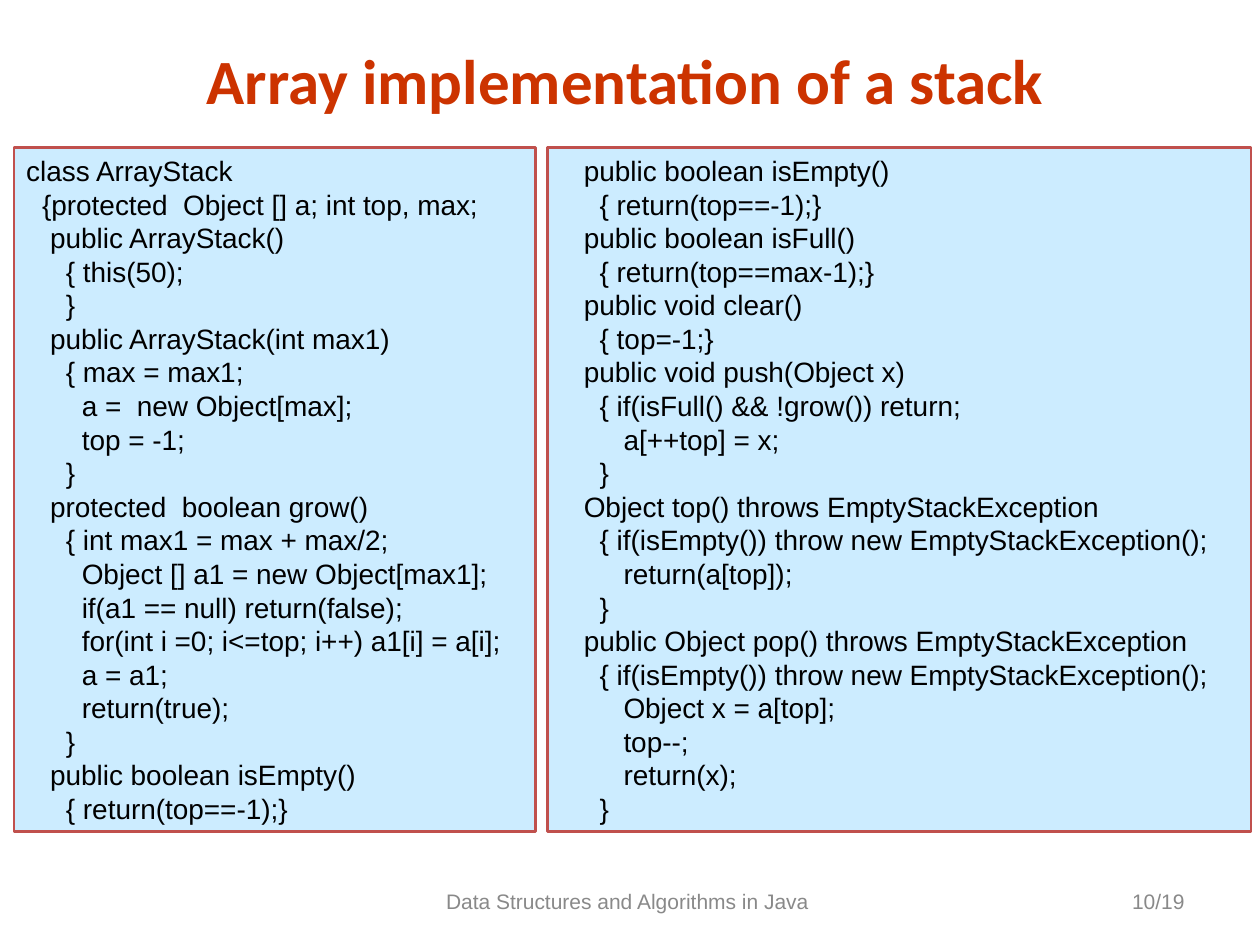
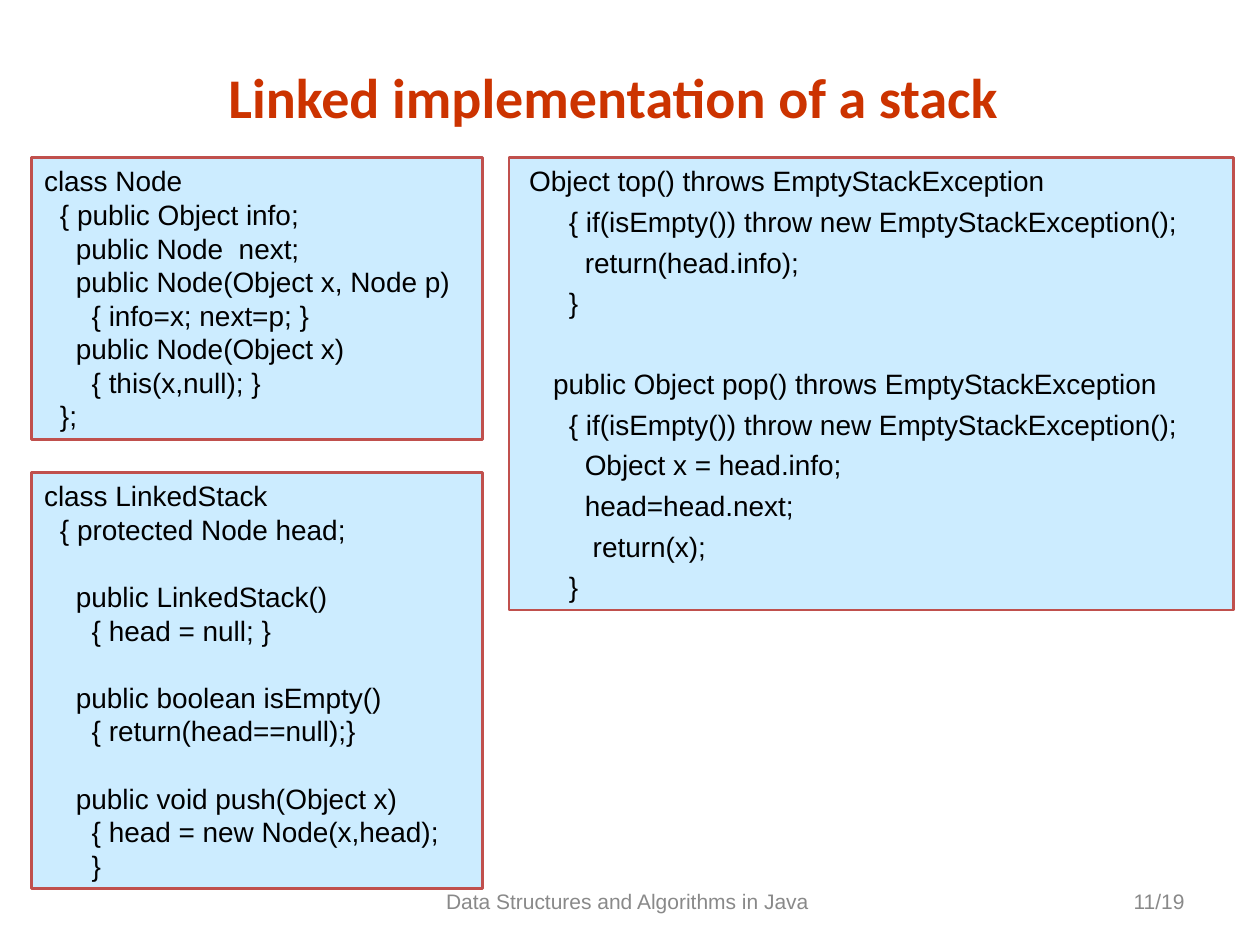
from dataclasses import dataclass

from pptx import Presentation
from pptx import util as u
from pptx.dml.color import RGBColor
from pptx.enum import shapes, text


@dataclass(frozen=True)
class Theme:
    title_color: RGBColor = RGBColor.from_string("CC3300")
    code_color: RGBColor = RGBColor.from_string("000000")
    panel_fill: RGBColor = RGBColor.from_string("CCECFF")
    panel_line: RGBColor = RGBColor.from_string("C0504D")
    footer_color: RGBColor = RGBColor.from_string("898989")
    title_font: str = "Calibri"
    body_font: str = "Arial"
    code_size: int = 16
    code_pitch: float = 19.2  # points from one code line to the next
    code_step: float = 0.16  # centimetres per column of code indent
    footer_size: int = 12
    panel_line_width: float = 1.5


@dataclass(frozen=True)
class Box:
    """A region of the slide, in centimetres."""
    left: float
    top: float
    width: float
    height: float

    def emu(self):
        return [u.Cm(side) for side in (self.left, self.top, self.width, self.height)]


THEME = Theme()
FOOTER_TEXT = "Data Structures and Algorithms in Java "
SLIDE_TOTAL = 19
FOOTER_BOX = Box(8.05, 17.65, 9.32, 1.02)
NUMBER_BOX = Box(18.21, 17.65, 5.92, 1.02)

ARRAY_SETUP = """\
class ArrayStack
  {protected  Object [] a; int top, max;
   public ArrayStack()
     { this(50);
     }
   public ArrayStack(int max1)
     { max = max1;
       a =  new Object[max];
       top = -1;
     }
   protected  boolean grow()
     { int max1 = max + max/2;
       Object [] a1 = new Object[max1];
       if(a1 == null) return(false);
       for(int i =0; i<=top; i++) a1[i] = a[i];
       a = a1;
       return(true);
     }
   public boolean isEmpty()
     { return(top==-1);}"""

ARRAY_METHODS = """\
   public boolean isEmpty()
     { return(top==-1);}
   public boolean isFull()
     { return(top==max-1);}
   public void clear()
     { top=-1;}
   public void push(Object x)
     { if(isFull() && !grow()) return;
        a[++top] = x;
     }
   Object top() throws EmptyStackException
     { if(isEmpty()) throw new EmptyStackException();
        return(a[top]);
     }
   public Object pop() throws EmptyStackException
     { if(isEmpty()) throw new EmptyStackException();
        Object x = a[top];
        top--;
        return(x);
     }"""

NODE_CLASS = """\
class Node
  { public Object info;
    public Node  next;
    public Node(Object x, Node p)
      { info=x; next=p; }
    public Node(Object x)
      { this(x,null); }
  };"""

LINKED_SETUP = """\
class LinkedStack
  { protected Node head;

    public LinkedStack()
      { head = null; }

    public boolean isEmpty()
      { return(head==null);}

    public void push(Object x)
      { head = new Node(x,head);
      }"""

LINKED_METHODS = """\
 Object top() throws EmptyStackException
      { if(isEmpty()) throw new EmptyStackException();
        return(head.info);
      }

    public Object pop() throws EmptyStackException
      { if(isEmpty()) throw new EmptyStackException();
        Object x = head.info;
        head=head.next;
         return(x);
      }"""


def style(para, font, size, color, bold=False):
    for span in para.runs:
        span.font.name = font
        span.font.size = u.Pt(size)
        span.font.bold = bold
        span.font.color.rgb = color


def add_label(page, box, words, align, font, size, color, bold=False):
    """Add one line of text, centred vertically in the box."""
    frame = page.shapes.add_textbox(*box.emu()).text_frame
    frame.word_wrap = True
    frame.vertical_anchor = text.MSO_ANCHOR.MIDDLE
    para = frame.paragraphs[0]
    para.text = words
    para.alignment = align
    style(para, font, size, color, bold)


def add_title(page, box, words, size):
    add_label(page, box, words, text.PP_ALIGN.CENTER,
              THEME.title_font, size, THEME.title_color, bold=True)


def add_footer(page, number):
    for box, words, align in (
        (FOOTER_BOX, FOOTER_TEXT, text.PP_ALIGN.CENTER),
        (NUMBER_BOX, f"{number}/{SLIDE_TOTAL}", text.PP_ALIGN.RIGHT),
    ):
        add_label(page, box, words, align,
                  THEME.body_font, THEME.footer_size, THEME.footer_color)


def add_code_panel(page, box, code, spacing=0):
    """Add a framed listing; leading columns become indents, empty lines become gaps."""
    panel = page.shapes.add_shape(shapes.MSO_SHAPE.RECTANGLE, *box.emu())
    panel.shadow.inherit = False
    panel.fill.solid()
    panel.fill.fore_color.rgb = THEME.panel_fill
    panel.line.color.rgb = THEME.panel_line
    panel.line.width = u.Pt(THEME.panel_line_width)
    frame = panel.text_frame
    frame.word_wrap = True
    frame.vertical_anchor = text.MSO_ANCHOR.TOP

    lines = code.splitlines()
    frame.text = "\n".join(line.strip() for line in lines if line)
    paras = iter(frame.paragraphs)
    before = spacing
    for line in lines:
        if not line:
            before += THEME.code_pitch + spacing
            continue
        para = next(paras)
        columns = len(line) - len(line.lstrip())
        props = para._p.get_or_add_pPr()
        props.set("marL", str(u.Cm(columns * THEME.code_step)))
        props.set("indent", "0")
        para.alignment = text.PP_ALIGN.LEFT
        para.line_spacing = u.Pt(THEME.code_pitch)
        para.space_before = u.Pt(before)
        style(para, THEME.body_font, THEME.code_size, THEME.code_color)
        before = spacing


def add_page(deck, number, title, title_box, title_size):
    page = deck.slides.add_slide(deck.slide_layouts[6])
    add_footer(page, number)
    add_title(page, title_box, title, title_size)
    return page


def add_array_page(deck):
    page = add_page(deck, 10, "Array implementation of a stack",
                    Box(0.64, 0.71, 23.93, 1.78), 36)
    top, height = 2.97, 13.79
    add_code_panel(page, Box(0.28, top, 10.52, height), ARRAY_SETUP)
    add_code_panel(page, Box(11.04, top, 14.18, height), ARRAY_METHODS)


def add_linked_page(deck):
    page = add_page(deck, 11, "Linked implementation of a stack",
                    Box(0.84, 1.14, 23.06, 1.6), 32)
    left, top, width = 0.64, 3.18, 9.09
    add_code_panel(page, Box(left, top, width, 5.68), NODE_CLASS)
    add_code_panel(page, Box(left, 9.53, width, 8.38), LINKED_SETUP)
    add_code_panel(page, Box(10.26, top, 14.61, 9.12), LINKED_METHODS, spacing=4)


def main():
    deck = Presentation()
    deck.slide_width, deck.slide_height = u.Cm(25.4), u.Cm(19.05)
    add_array_page(deck)
    add_linked_page(deck)
    deck.save("out.pptx")


if __name__ == "__main__":
    main()
